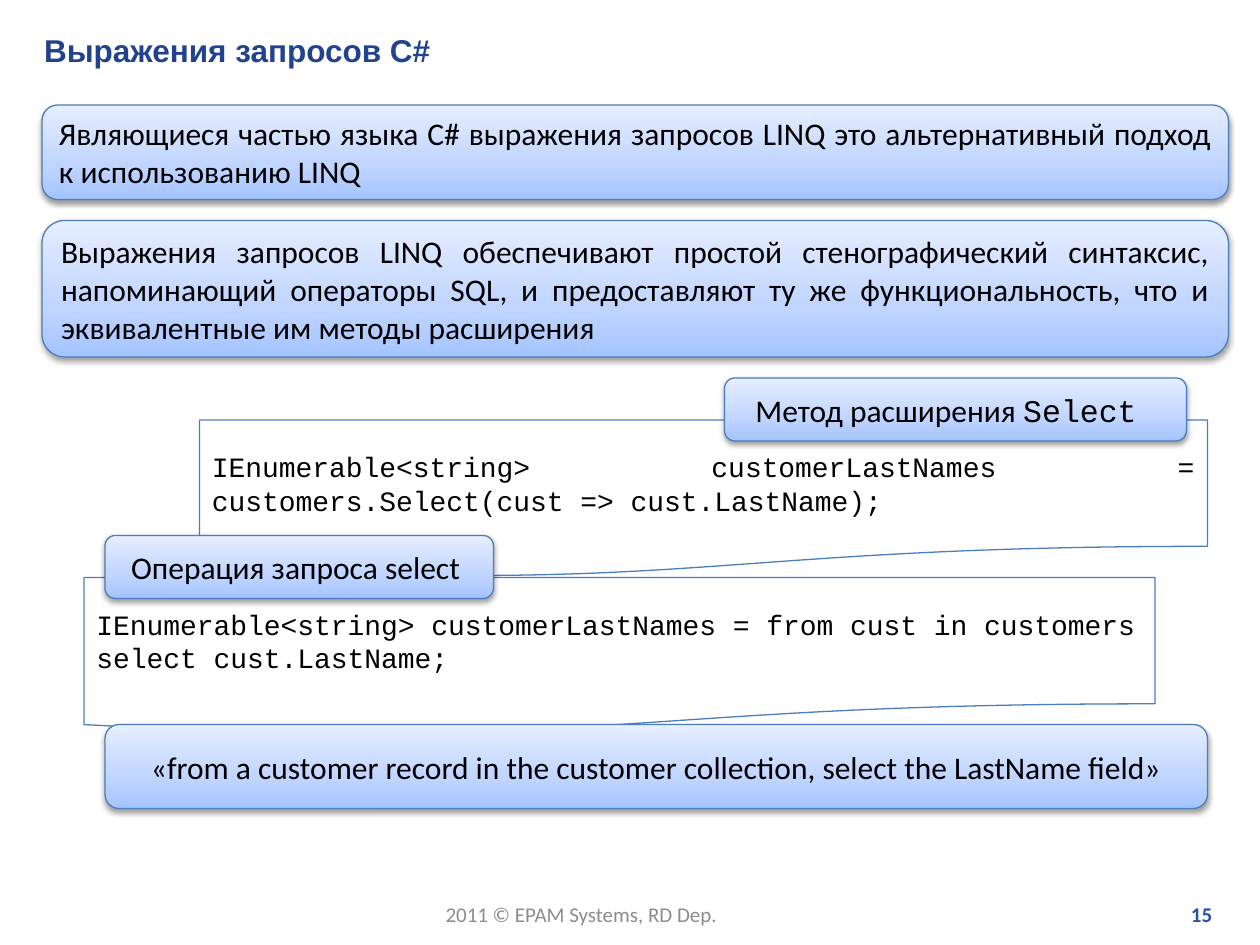
from pptx import Presentation
from pptx.dml.color import RGBColor
from pptx.enum.shapes import MSO_SHAPE as Shape
from pptx.enum.text import MSO_ANCHOR as Anchor, PP_ALIGN as Align
from pptx.oxml import parse_xml
from pptx.oxml.ns import nsdecls, qn
from pptx.util import Pt

PX = 9525
GRADIENT = f"""<a:gradFill {nsdecls('a')} rotWithShape="1"><a:gsLst>
<a:gs pos="0"><a:srgbClr val="A4C4FF"/></a:gs>
<a:gs pos="35000"><a:srgbClr val="BFD4FF"/></a:gs>
<a:gs pos="100000"><a:srgbClr val="E6EEFF"/></a:gs>
</a:gsLst><a:lin ang="16200000" scaled="1"/></a:gradFill>"""
SHADOW = f"""<a:outerShdw {nsdecls('a')} blurRad="40000" dist="20000" dir="5400000" rotWithShape="0">
<a:srgbClr val="000000"><a:alpha val="38000"/></a:srgbClr></a:outerShdw>"""


def style(font, name, size, color, bold=False):
    font.name, font.size, font.bold = name, Pt(size), bold
    font.color.rgb = RGBColor.from_string(color)


def add_panel(kind, box, text, align, font_name, size):
    panel = slide.shapes.add_shape(kind, *[n * PX for n in box])
    panel.line.color.rgb = RGBColor.from_string("4B7EBC")
    panel.line.width = Pt(0.75)
    panel.shadow.inherit = False
    panel.text_frame.vertical_anchor = Anchor.MIDDLE
    paragraph = panel.text_frame.paragraphs[0]
    paragraph.text = text
    paragraph.alignment = align
    style(paragraph.font, font_name, size, "000000")
    return panel


prs = Presentation()
prs.slide_width, prs.slide_height = 960 * PX, 720 * PX
slide = prs.slides.add_slide(prs.slide_layouts[5])

title = slide.shapes.title
title.left, title.top, title.width, title.height = [n * PX for n in (24, 19, 916, 38)]
title.text_frame.text = "Выражения запросов C#"
title.text_frame.vertical_anchor = Anchor.MIDDLE
heading = title.text_frame.paragraphs[0]
heading.alignment = Align.LEFT
style(heading.font, "Arial", 18, "21438F", True)

footers = [
    ((330, 682, 229, 29), "2011 © EPAM Systems, RD Dep.", Align.LEFT, "8C8C8C", False),
    ((730, 682, 203, 29), "15", Align.RIGHT, "2750AB", True),
]
for box, text, align, color, bold in footers:
    footer = slide.shapes.add_textbox(*[n * PX for n in box])
    footer.text_frame.word_wrap = bold
    line = footer.text_frame.paragraphs[0]
    line.text = text
    line.alignment = align
    style(line.font, "Calibri", 12, color, bold)

listings = [
    ((152, 320, 768, 120), "IEnumerable<string> customerLastNames = customers.Select(cust => cust.LastName);", Align.JUSTIFY),
    ((64, 440, 816, 120), "IEnumerable<string> customerLastNames = from cust in customers select cust.LastName;", Align.LEFT),
]
for box, code, align in listings:
    listing = add_panel(Shape.FLOWCHART_DOCUMENT, box, code, align, "Courier New", 16)
    listing.fill.solid()
    listing.fill.fore_color.rgb = RGBColor.from_string("FFFFFF")
    if align == Align.JUSTIFY:
        listing.text_frame.paragraphs[0].space_after = Pt(10)

statements = [
    ((32, 168, 904, 104), "Выражения запросов LINQ обеспечивают простой стенографический синтаксис, напоминающий операторы SQL, и предоставляют ту же функциональность, что и эквивалентные им методы расширения", Align.JUSTIFY),
    ((32, 80, 904, 72), "Являющиеся частью языка C# выражения запросов LINQ это альтернативный подход к использованию LINQ", Align.JUSTIFY),
    ((552, 288, 352, 48), "Метод расширения ", Align.CENTER),
    ((80, 408, 296, 48), "Операция запроса select ", Align.CENTER),
    ((80, 552, 840, 64), "«from a customer record in the customer collection, select the LastName field»", Align.CENTER),
]
for box, text, align in statements:
    statement = add_panel(Shape.ROUNDED_RECTANGLE, box, text, align, "Calibri", 18)
    properties = statement.element.spPr
    properties.insert(2, parse_xml(GRADIENT))
    properties.find(qn("a:effectLst")).append(parse_xml(SHADOW))
    paragraph = statement.text_frame.paragraphs[0]
    paragraph.space_after = Pt(10)
    if text.startswith("Метод"):
        method = paragraph.add_run()
        method.text = "Select "
        method.font.name = "Courier New"

prs.save("out.pptx")
